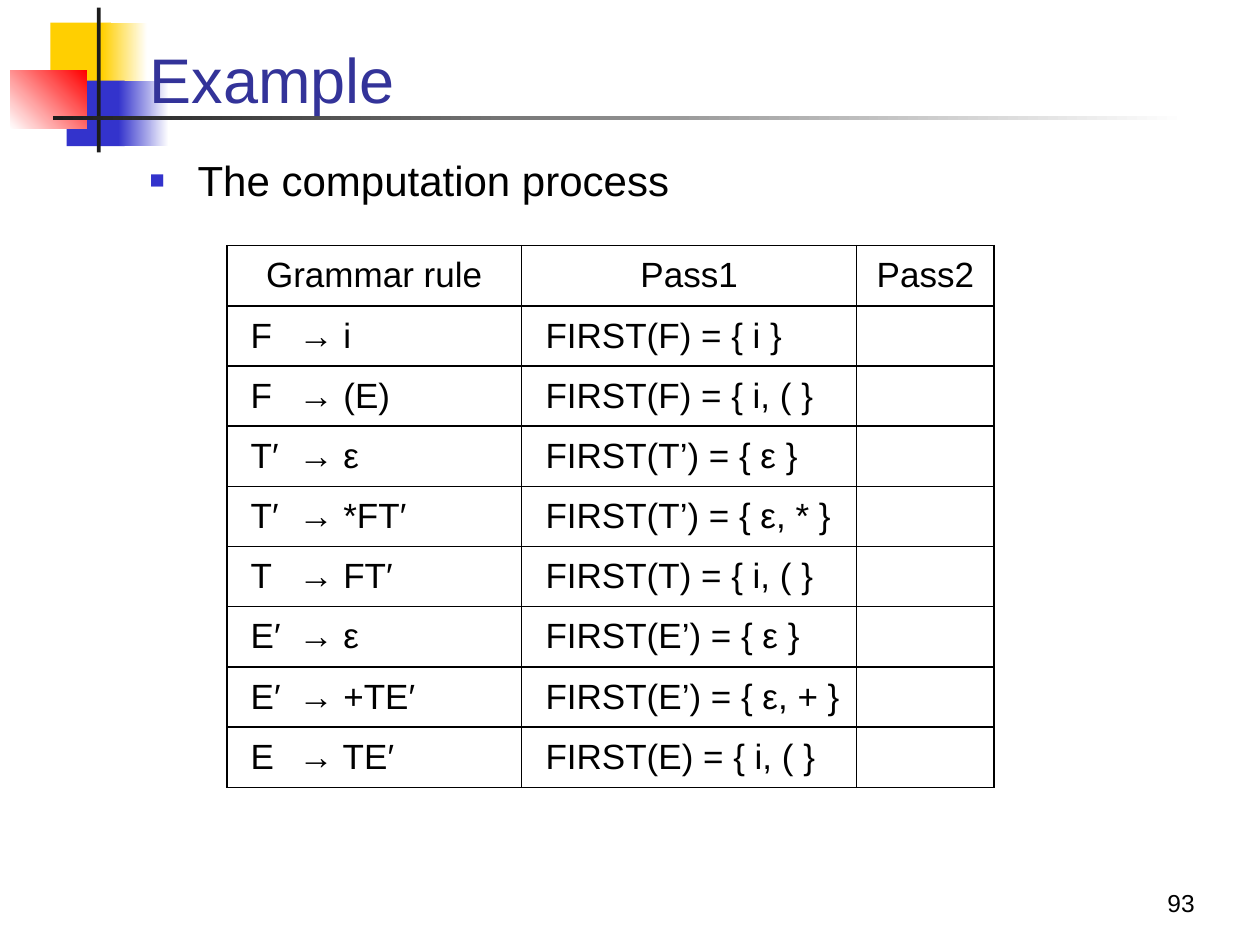
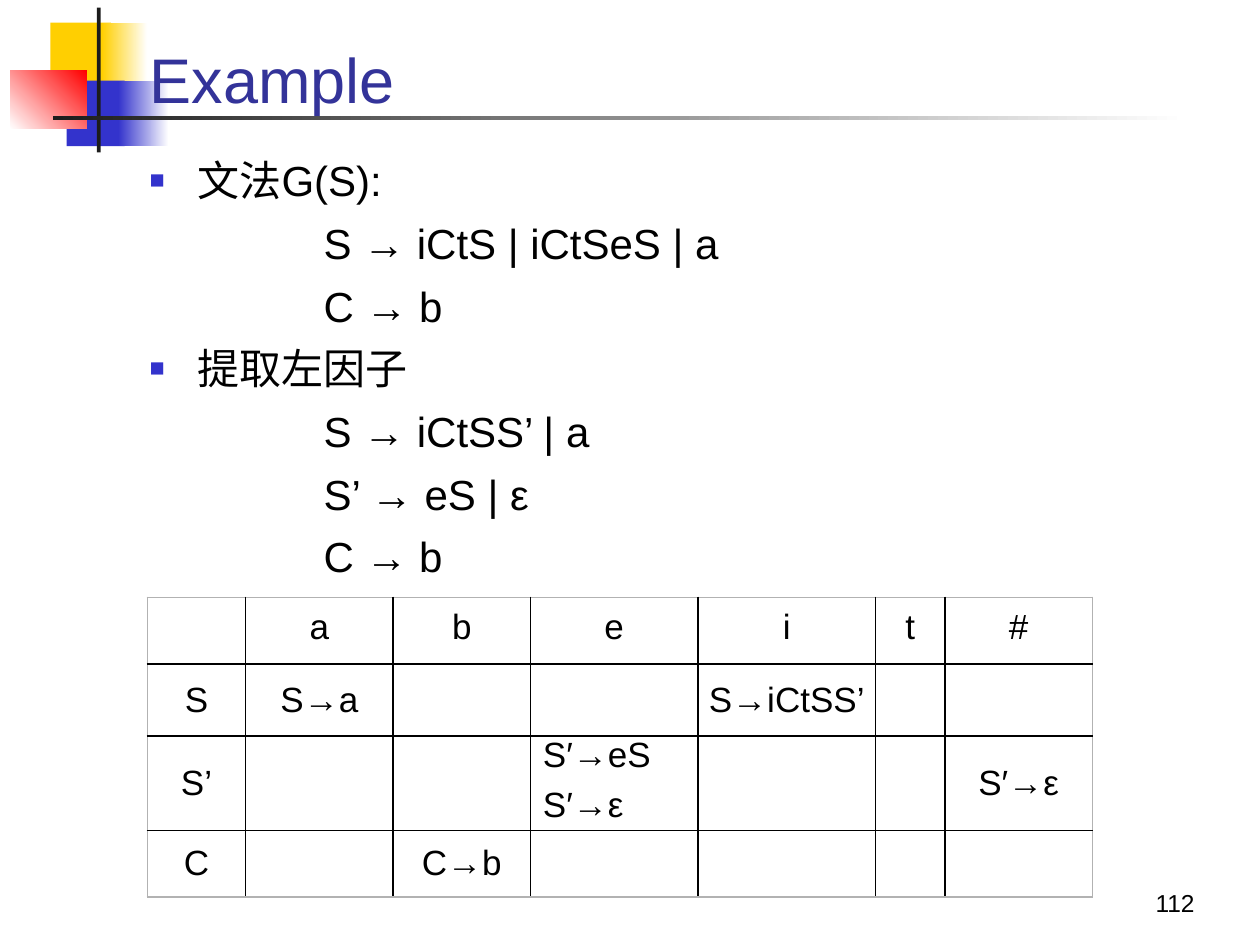
import dataclasses

import lxml.etree
import pptx
import pptx.dml.color
import pptx.enum.shapes
import pptx.enum.text
import pptx.oxml.ns
import pptx.util

Inches = pptx.util.Inches
Pt = pptx.util.Pt
ALIGN = pptx.enum.text.PP_ALIGN
ANCHOR = pptx.enum.text.MSO_ANCHOR


@dataclasses.dataclass(frozen=True)
class Theme:
    font: str = "Arial"
    text: str = "000000"
    paper: str = "FFFFFF"
    title: str = "333399"
    yellow: str = "FFCF01"
    blue: str = "3333CC"
    red: str = "FF0000"
    rule: str = "1C1C1C"
    frame: str = "B2B2B2"
    title_size: int = 36
    body_size: int = 24
    table_size: int = 20
    number_size: int = 14


def apply(target, values):
    for name, value in values.items():
        setattr(target, name, value)


def rgb(color):
    return pptx.dml.color.RGBColor.from_string(color)


def add_xml(parent, tag, **attributes):
    return lxml.etree.SubElement(parent, pptx.oxml.ns.qn(tag), attributes)


class Deck:
    def __init__(self, theme):
        self.theme = theme
        self.presentation = pptx.Presentation()
        apply(self.presentation, {"slide_width": Inches(10), "slide_height": Inches(7.5)})
        self.slide = None

    def new_slide(self, title, number):
        theme = self.theme
        self.slide = self.presentation.slides.add_slide(self.presentation.slide_layouts[6])
        self.block((0.4, 0.18, 0.48, 0.52), theme.yellow)
        self.block((0.81, 0.18, 0.36, 0.52), theme.yellow, theme.paper)
        self.block((0.53, 0.64, 0.46, 0.52), theme.blue)
        self.block((0.94, 0.64, 0.4, 0.52), theme.blue, theme.paper)
        self.block((0.08, 0.56, 0.61, 0.46), theme.paper, theme.red, 45)
        self.block((0.77, 0.06, 0.03, 1.15), theme.rule)
        self.block((0.42, 0.92, 9, 0.03), theme.rule, theme.paper)
        heading = self.text_frame((1.09, 0.21, 8.52, 0.76), ANCHOR.BOTTOM)
        self.set_text(heading.paragraphs[0], title, theme.title_size, theme.title,
                      line_spacing=0.85)
        footer = self.text_frame((7.5, 6.83, 2.08, 0.5), ANCHOR.BOTTOM)
        self.set_text(footer.paragraphs[0], number, theme.number_size, alignment=ALIGN.RIGHT)

    def block(self, box, color, fade=None, angle=0):
        shape = self.slide.shapes.add_shape(
            pptx.enum.shapes.MSO_SHAPE.RECTANGLE, *map(Inches, box))
        shape.shadow.inherit = False
        shape.line.fill.background()
        if fade:
            shape.fill.gradient()
            shape.fill.gradient_angle = angle
            for stop, shade in zip(shape.fill.gradient_stops, (color, fade)):
                stop.color.rgb = rgb(shade)
        else:
            shape.fill.solid()
            shape.fill.fore_color.rgb = rgb(color)

    def text_frame(self, box, anchor=ANCHOR.TOP):
        frame = self.slide.shapes.add_textbox(*map(Inches, box)).text_frame
        apply(frame, {"word_wrap": True, "vertical_anchor": anchor})
        return frame

    def set_text(self, paragraph, text, size, color=None, left=0, first=0,
                 bullet=False, tab=None, **layout):
        apply(paragraph, layout)
        properties = paragraph._p.get_or_add_pPr()
        properties.set("marL", str(Inches(left)))
        properties.set("indent", str(Inches(first)))
        if bullet:
            add_xml(add_xml(properties, "a:buClr"), "a:srgbClr", val=self.theme.blue)
            add_xml(properties, "a:buSzPct", val="60000")
            add_xml(properties, "a:buFont", typeface=self.theme.font)
            add_xml(properties, "a:buChar", char="■")
        else:
            add_xml(properties, "a:buNone")
        if tab:
            add_xml(add_xml(properties, "a:tabLst"), "a:tab", pos=str(Inches(tab)), algn="l")
        run = paragraph.add_run()
        run.text = text
        apply(run.font, {"name": self.theme.font, "size": Pt(size)})
        run.font.color.rgb = rgb(color or self.theme.text)

    def outline(self, sections):
        frame = self.text_frame((1.09, 1.18, 8.5, 5.64))
        lines = []
        for heading, rules in sections:
            lines.append((heading, {"left": 0.38, "first": -0.38, "bullet": True}))
            lines += [(rule, {"left": 1.38}) for rule in rules]
        for index, (text, layout) in enumerate(lines):
            paragraph = frame.add_paragraph() if index else frame.paragraphs[0]
            self.set_text(paragraph, text, self.theme.body_size,
                          space_before=Pt(7 if index else 0), **layout)

    def table(self, corner, widths, heights, rows, layout_for, margin, frame_color):
        size = sum(widths), sum(heights)
        table = self.slide.shapes.add_table(
            len(rows), len(widths), *map(Inches, (*corner, *size))).table
        apply(table, {"first_row": False, "horz_banding": False})
        for column, width in zip(table.columns, widths):
            column.width = Inches(width)
        for row, height in zip(table.rows, heights):
            row.height = Inches(height)
        for r, texts in enumerate(rows):
            for c, text in enumerate(texts):
                cell = table.cell(r, c)
                edges = {"L": c == 0, "R": c == len(widths) - 1,
                         "T": r == 0, "B": r == len(rows) - 1}
                self.borders(cell, edges, frame_color)
                self.fill_cell(cell, text, layout_for(r, c), margin)

    def borders(self, cell, edges, frame_color):
        properties = cell._tc.get_or_add_tcPr()
        for side, outer in edges.items():
            line = add_xml(properties, f"a:ln{side}", w=str(Pt(1)))
            color = frame_color if outer else self.theme.text
            add_xml(add_xml(line, "a:solidFill"), "a:srgbClr", val=color)

    def fill_cell(self, cell, text, layout, margin):
        cell.fill.solid()
        cell.fill.fore_color.rgb = rgb(self.theme.paper)
        lines = text.split("\n")
        apply(cell, {
            "margin_left": Inches(margin), "margin_right": Inches(margin),
            "margin_top": 0, "margin_bottom": 0,
            "vertical_anchor": ANCHOR.TOP if len(lines) > 1 else ANCHOR.MIDDLE})
        if not text:
            return
        for index, line in enumerate(lines):
            paragraph = cell.text_frame.add_paragraph() if index else cell.text_frame.paragraphs[0]
            self.set_text(paragraph, line, self.theme.table_size,
                          space_before=Pt(6 if index else 0), **layout)


def first_set_layout(row, column):
    if row == 0:
        return {"alignment": ALIGN.CENTER}
    if column == 0:
        return {"first": 0.12, "tab": 0.44}
    return {"first": 0.12, "alignment": ALIGN.JUSTIFY}


def parse_table_layout(row, column):
    if row == 0:
        return {"alignment": ALIGN.CENTER, "line_spacing": Pt(18)}
    if (row, column) == (2, 3):
        return {"left": 0.08}
    return {"alignment": ALIGN.CENTER}


def main():
    theme = Theme()
    deck = Deck(theme)

    deck.new_slide("Example", "93")
    deck.outline([("The computation process", [])])
    passes = [
        ("F", "i", "FIRST(F) = { i }"),
        ("F", "(E)", "FIRST(F) = { i, ( }"),
        ("T′", "ε", "FIRST(T’) = { ε }"),
        ("T′", "*FT′", "FIRST(T’) = { ε, * }"),
        ("T", "FT′", "FIRST(T) = { i, ( }"),
        ("E′", "ε", "FIRST(E’) = { ε }"),
        ("E′", "+TE′", "FIRST(E’) = { ε, + }"),
        ("E", "TE′", "FIRST(E) = { i, ( }"),
    ]
    first_sets = [("Grammar rule", "Pass1", "Pass2")]
    first_sets += [(f"{symbol}\t→ {body}", result, "") for symbol, body, result in passes]
    deck.table((1.8, 1.95), (2.34, 2.66, 1.09), [4.3 / len(first_sets)] * len(first_sets),
               first_sets, first_set_layout, 0.07, theme.text)

    deck.new_slide("Example", "112")
    deck.outline([
        ("文法G(S):", ["S → iCtS | iCtSeS | a", "C → b"]),
        ("提取左因子", ["S → iCtSS’ | a", "S’ → eS | ε", "C → b"]),
    ])
    parse_table = [
        ("", "a", "b", "e", "i", "t", "#"),
        ("S", "S→a", "", "", "S→iCtSS’", "", ""),
        ("S’", "", "", "S′→eS\nS′→ε", "", "", "S′→ε"),
        ("C", "", "C→b", "", "", "", ""),
    ]
    deck.table((1.17, 4.74), (0.78, 1.17, 1.09, 1.33, 1.41, 0.55, 1.17),
               (0.53, 0.57, 0.73, 0.53), parse_table, parse_table_layout, 0.02, theme.frame)

    deck.presentation.save("out.pptx")


if __name__ == "__main__":
    main()
